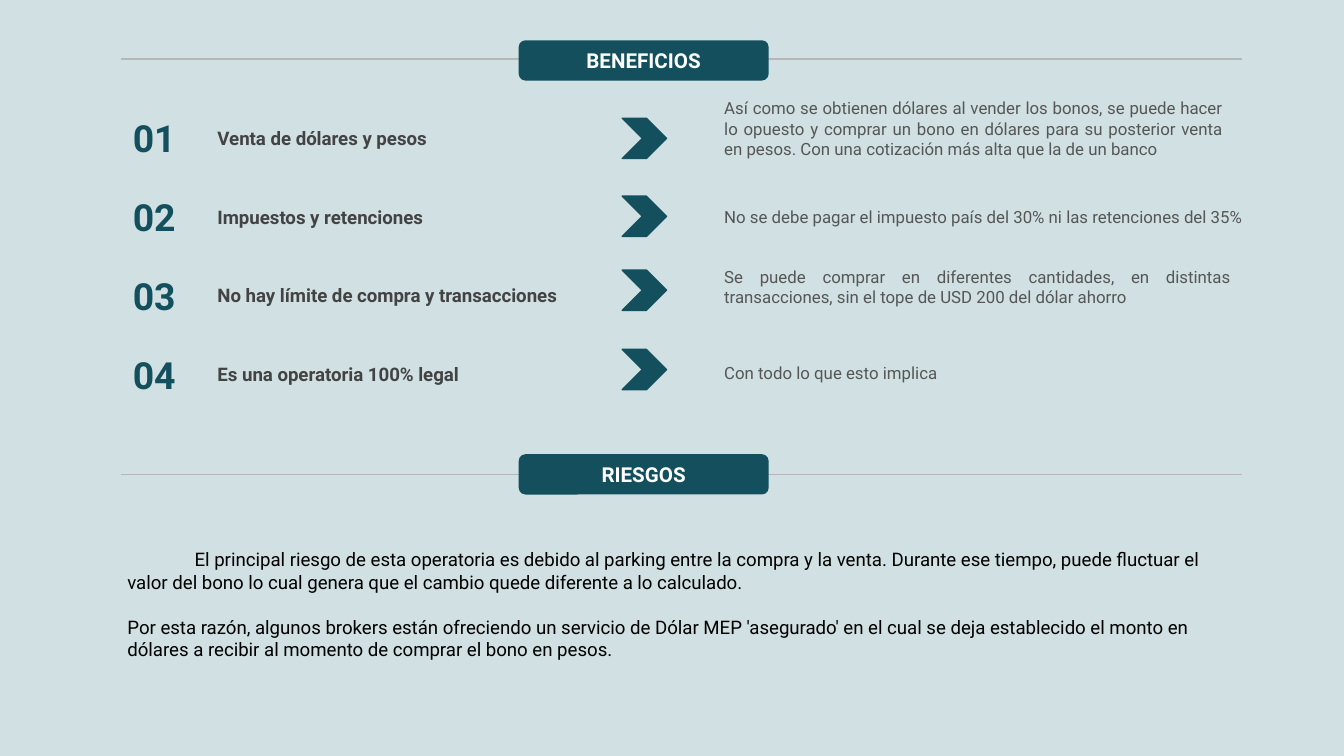
from pptx import Presentation
from pptx.dml.color import RGBColor
from pptx.enum import shapes, text
from pptx.oxml import xmlchemy
from pptx.util import Inches, Pt

TEAL = RGBColor(0x13, 0x4F, 0x5C)
WHITE = RGBColor(0xFF, 0xFF, 0xFF)
BLACK = RGBColor(0, 0, 0)
DARK = RGBColor(0x43, 0x43, 0x43)
GREY = RGBColor(0x56, 0x56, 0x56)
RULE = RGBColor(0xB7, 0xB7, 0xB7)
BACK = RGBColor(0xD0, 0xE0, 0xE3)
LEFT, CENTER, JUSTIFY = text.PP_ALIGN.LEFT, text.PP_ALIGN.CENTER, text.PP_ALIGN.JUSTIFY

prs = Presentation()
prs.slide_width, prs.slide_height = Inches(10), Inches(10 * 9 / 16)
s = prs.slides.add_slide(prs.slide_layouts[6])
s.background.fill.solid()
s.background.fill.fore_color.rgb = BACK


def write(sp, lines, size, color, bold=False, align=LEFT, anchor=text.MSO_ANCHOR.MIDDLE):
    tf = sp.text_frame
    frame = {"word_wrap": True, "vertical_anchor": anchor}
    frame.update({f"margin_{side}": Inches(0.1) for side in ("left", "right", "top", "bottom")})
    for name, value in frame.items():
        setattr(tf, name, value)
    for i, line in enumerate(lines):
        p = tf.paragraphs[0] if i == 0 else tf.add_paragraph()
        p.alignment = align
        r = p.add_run()
        r.text = line
        for name, value in {"name": "Roboto", "size": Pt(size), "bold": bold}.items():
            setattr(r.font, name, value)
        r.font.color.rgb = color
    return tf


def add_shape(kind, x, y, w, h):
    sp = s.shapes.add_shape(kind, Inches(x), Inches(y), Inches(w), Inches(h))
    sp.shadow.inherit = False
    sp.fill.solid()
    sp.fill.fore_color.rgb = TEAL
    return sp


for title, rule_y, y in [("BENEFICIOS", 0.44, 0.3), ("RIESGOS", 3.53, 3.38)]:
    line = s.shapes.add_connector(
        shapes.MSO_CONNECTOR.STRAIGHT, Inches(0.9), Inches(rule_y), Inches(9.24), Inches(rule_y))
    line.line.color.rgb = RULE
    line.line.width = Pt(0.75)
    line._element.spPr.append(xmlchemy.OxmlElement("a:effectLst"))
    sp = add_shape(shapes.MSO_SHAPE.ROUNDED_RECTANGLE, 3.86, y, 1.86, 0.3)
    sp.line.fill.background()
    write(sp, [title], 11, WHITE, True, CENTER)

benefits = [
    ("Venta de dólares y pesos", 0.88, 0.81, 3.9,
     "Así como se obtienen dólares al vender los bonos, se puede hacer lo opuesto y comprar "
     "un bono en dólares para su posterior venta en pesos. Con una cotización más alta que la de un banco"),
    ("Impuestos y retenciones", 1.46, 1.47, 4.31,
     "No se debe pagar el impuesto país del 30% ni las retenciones del 35%"),
    ("No hay límite de compra y transacciones", 2.01, 1.99, 3.96,
     "Se puede comprar en diferentes cantidades, en distintas transacciones, "
     "sin el tope de USD 200 del dólar ahorro"),
    ("Es una operatoria 100% legal", 2.6, 2.63, 4.46, "Con todo lo que esto implica "),
]
for i, (name, arrow_y, detail_y, detail_w, detail) in enumerate(benefits):
    y = 0.88 + i * 1.76 / 3
    cells = [
        (0.89, y, 0.63, f"{i + 1:02}", 20, TEAL, True, LEFT),
        (1.52, y, 2.86, name, 10, DARK, True, LEFT),
        (5.29, detail_y, detail_w, detail, 9, GREY, False, JUSTIFY),
    ]
    for x, top, w, words, size, color, bold, align in cells:
        sp = s.shapes.add_textbox(Inches(x), Inches(top), Inches(w), Inches(0.29))
        write(sp, [words], size, color, bold, align)
    sp = add_shape(shapes.MSO_SHAPE.CHEVRON, 4.63, arrow_y, 0.33, 0.3)
    sp.line.color.rgb = TEAL
    sp.line.width = Pt(0.75)

risks = [
    "El principal riesgo de esta operatoria es debido al parking entre la compra y la venta. Durante ese "
    "tiempo, puede fluctuar el valor del bono lo cual genera que el cambio quede diferente a lo calculado.",
    "Por esta razón, algunos brokers están ofreciendo un servicio de Dólar MEP 'asegurado' en el cual "
    "se deja establecido el monto en dólares a recibir al momento de comprar el bono en pesos.",
]
sp = s.shapes.add_textbox(Inches(0.85), Inches(3.98), Inches(8.34), Inches(1.04))
tf = write(sp, risks, 10, BLACK, anchor=text.MSO_ANCHOR.TOP)
p = tf.paragraphs[0]
p.space_after = Pt(12)
p._p.get_or_add_pPr().set("indent", str(Inches(0.5)))

prs.save("out.pptx")
